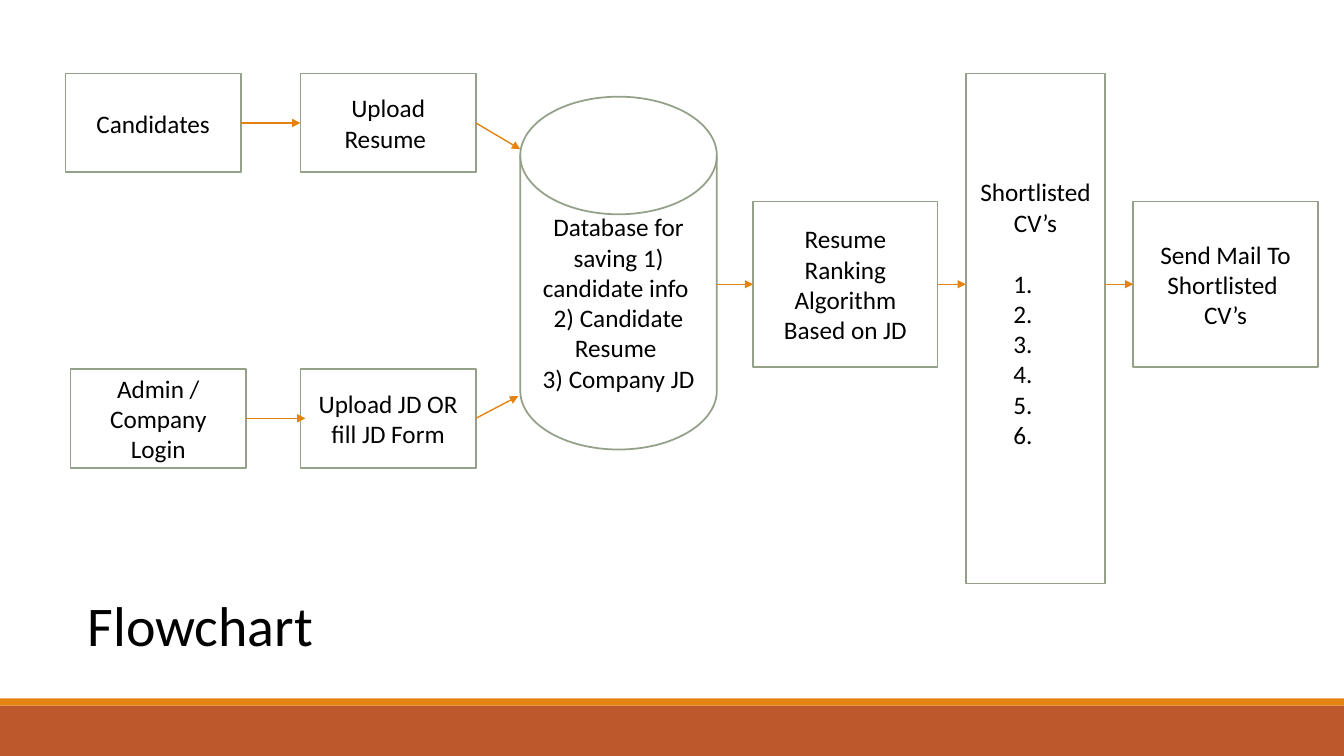
from dataclasses import dataclass

from lxml import etree
from pptx import Presentation
from pptx.dml.color import RGBColor
from pptx.enum.shapes import MSO_CONNECTOR, MSO_SHAPE
from pptx.enum.text import MSO_ANCHOR, PP_ALIGN
from pptx.oxml.ns import qn
from pptx.util import Inches, Pt

RECTANGLE = MSO_SHAPE.RECTANGLE
DISK = MSO_SHAPE.FLOWCHART_MAGNETIC_DISK
STRAIGHT = MSO_CONNECTOR.STRAIGHT
CENTER = PP_ALIGN.CENTER
MIDDLE = MSO_ANCHOR.MIDDLE


@dataclass(frozen=True)
class Theme:
    font: str = "Calibri"
    text: RGBColor = RGBColor(0, 0, 0)
    box: RGBColor = RGBColor(0xFF, 0xFF, 0xFF)
    outline: RGBColor = RGBColor(0x94, 0xA0, 0x88)
    accent: RGBColor = RGBColor(0xE4, 0x83, 0x12)
    footer: RGBColor = RGBColor(0xBD, 0x58, 0x2C)
    title_size: int = 40
    body_size: int = 18
    outline_width: float = 1.25
    arrow_width: float = 1


THEME = Theme()
WIDTH, HEIGHT = 13.33, 7.5
FOOTER_HEIGHT, STRIPE_HEIGHT = 0.5, 0.07

TITLE = "Flowchart"
LIST_LENGTH = 6
LIST_INDENT = 0.38
BLANK_LINE = 22  # points

TOP_ROW, BOTTOM_ROW, MIDDLE_AXIS = 0.73, 3.66, 2.82
UPLOAD_COLUMN = 2.98
INPUT_SIZE = (1.74, 0.98)
OUTPUT_SIZE = (1.83, 1.64)
OUTPUT_ROW = MIDDLE_AXIS - OUTPUT_SIZE[1] / 2

# name: (left, top, (width, height), preset, paragraphs)
STEPS = {
    "upload_jd": (UPLOAD_COLUMN, BOTTOM_ROW, INPUT_SIZE, RECTANGLE,
                  ["Upload JD OR fill JD Form"]),
    "admin": (0.7, BOTTOM_ROW, INPUT_SIZE, RECTANGLE, ["Admin / Company Login"]),
    "upload_resume": (UPLOAD_COLUMN, TOP_ROW, INPUT_SIZE, RECTANGLE, ["Upload Resume "]),
    "candidates": (0.65, TOP_ROW, INPUT_SIZE, RECTANGLE, ["Candidates"]),
    "database": (5.16, 0.96, (1.95, 3.5), DISK,
                 ["Database for saving 1) candidate info ",
                  "2) Candidate Resume ", "3) Company JD"]),
    "ranking": (7.47, OUTPUT_ROW, OUTPUT_SIZE, RECTANGLE,
                ["Resume Ranking Algorithm Based on JD"]),
    "shortlist": (9.58, TOP_ROW, (1.38, 5.06), RECTANGLE, ["Shortlisted CV’s"]),
    "mail": (11.24, OUTPUT_ROW, OUTPUT_SIZE, RECTANGLE, ["Send Mail To Shortlisted  CV’s"]),
}

# (from step, to step, shift of the tip from the target's left edge, height of the tip)
ARROWS = [
    ("candidates", "upload_resume", 0, None),
    ("admin", "upload_jd", 0.05, None),
    ("upload_resume", "database", 0, 1.48),
    ("upload_jd", "database", -0.02, 3.93),
    ("database", "ranking", 0, MIDDLE_AXIS),
    ("ranking", "shortlist", 0, MIDDLE_AXIS),
    ("shortlist", "mail", 0, MIDDLE_AXIS),
]


def style_text(paragraph, size):
    paragraph.font.name = THEME.font
    paragraph.font.size = Pt(size)
    paragraph.font.color.rgb = THEME.text


def add_block(slide, preset, left, top, width, height, fill):
    shape = slide.shapes.add_shape(preset, *map(Inches, (left, top, width, height)))
    shape.shadow.inherit = False
    shape.fill.solid()
    shape.fill.fore_color.rgb = fill
    shape.line.fill.background()
    return shape


def add_step(slide, left, top, size, preset, lines):
    shape = add_block(slide, preset, left, top, *size, THEME.box)
    shape.line.color.rgb = THEME.outline
    shape.line.width = Pt(THEME.outline_width)
    frame = shape.text_frame
    frame.word_wrap = True
    frame.vertical_anchor = MIDDLE
    frame.text = "\n".join(lines)
    for paragraph in frame.paragraphs:
        paragraph.alignment = CENTER
        style_text(paragraph, THEME.body_size)
    return shape


def add_numbered_lines(frame, count):
    """Append empty numbered entries, one blank line apart from heading and edge."""
    frame.paragraphs[0].space_after = Pt(BLANK_LINE)
    frame.margin_bottom += Pt(BLANK_LINE)
    for _ in range(count):
        paragraph = frame.add_paragraph()
        paragraph.text = " "
        paragraph.alignment = CENTER
        style_text(paragraph, THEME.body_size)
        properties = paragraph._p.get_or_add_pPr()
        properties.set("marL", str(Inches(LIST_INDENT)))
        properties.set("indent", str(-Inches(LIST_INDENT)))
        numbering = etree.Element(qn("a:buAutoNum"), type="arabicPeriod")
        properties.find(qn("a:defRPr")).addprevious(numbering)


def add_arrow(slide, source, target, shift, tip_y):
    left, top, (width, height), *_ = STEPS[source]
    # Arrows leave the side of a box at its middle, or on the main axis.
    start_y = MIDDLE_AXIS if tip_y == MIDDLE_AXIS else top + height / 2
    end_y = start_y if tip_y is None else tip_y
    points = (left + width, start_y, STEPS[target][0] + shift, end_y)
    arrow = slide.shapes.add_connector(STRAIGHT, *map(Inches, points))
    arrow.line.color.rgb = THEME.accent
    arrow.line.width = Pt(THEME.arrow_width)
    etree.SubElement(arrow.line._get_or_add_ln(), qn("a:tailEnd"), type="triangle")
    etree.SubElement(arrow._element.spPr, qn("a:effectLst"))


def main():
    presentation = Presentation()
    presentation.slide_width = Inches(WIDTH)
    presentation.slide_height = Inches(HEIGHT)
    slide = presentation.slides.add_slide(presentation.slide_layouts[6])

    footer_top = HEIGHT - FOOTER_HEIGHT
    add_block(slide, RECTANGLE, 0, footer_top, WIDTH, FOOTER_HEIGHT, THEME.footer)
    add_block(slide, RECTANGLE, 0, footer_top - STRIPE_HEIGHT, WIDTH, STRIPE_HEIGHT,
              THEME.accent)

    shapes = {name: add_step(slide, *step) for name, step in STEPS.items()}
    add_numbered_lines(shapes["shortlist"].text_frame, LIST_LENGTH)
    for arrow in ARROWS:
        add_arrow(slide, *arrow)

    title = slide.shapes.add_textbox(*map(Inches, (0.77, 5.81, 4.55, 0.77)))
    title.text_frame.word_wrap = True
    title.text_frame.text = TITLE
    style_text(title.text_frame.paragraphs[0], THEME.title_size)

    presentation.save("out.pptx")


if __name__ == "__main__":
    main()
